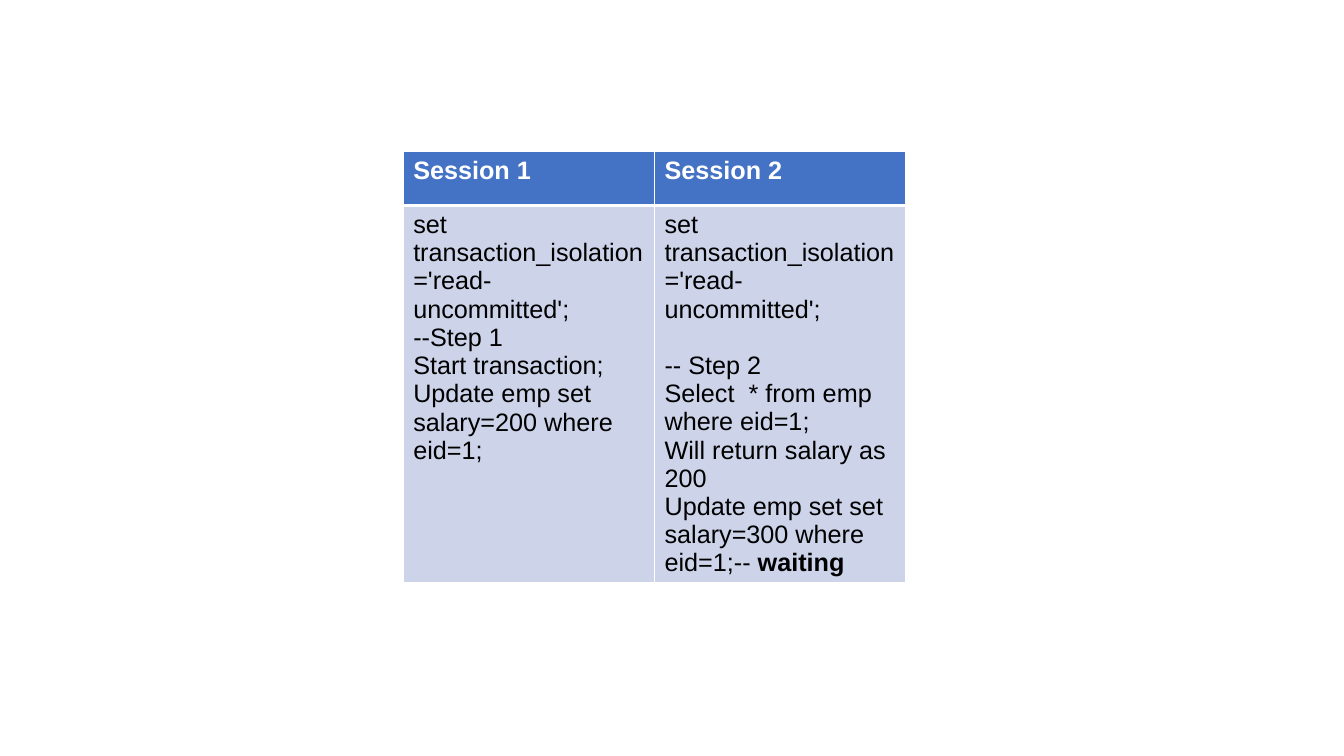
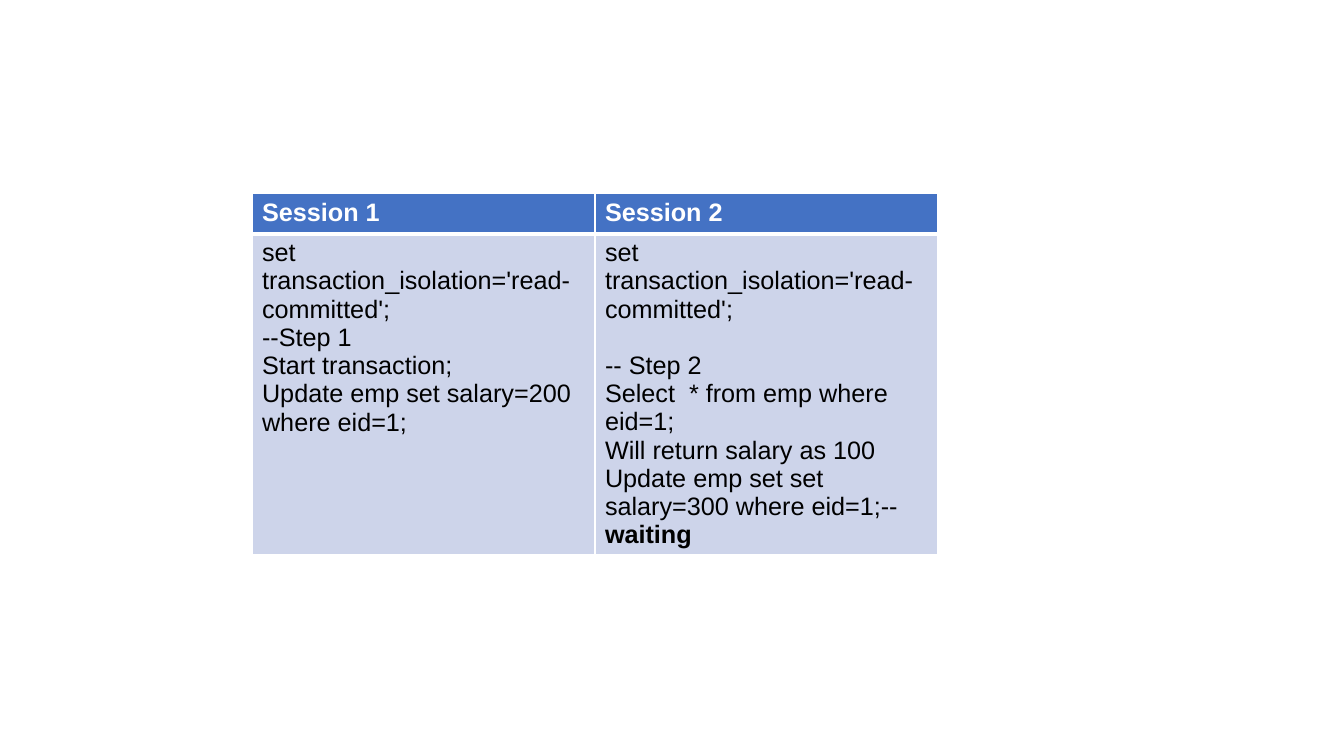
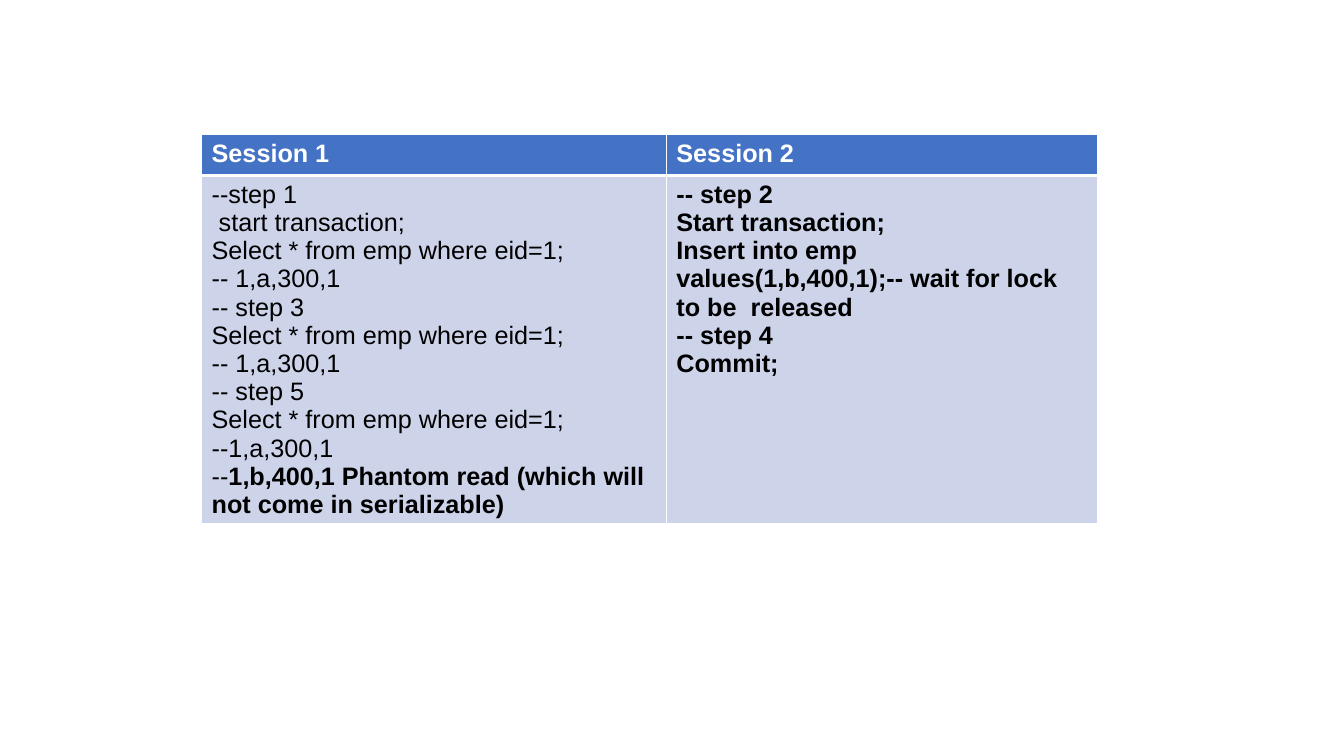
import pptx
import pptx.dml.color
import pptx.util
import pptx.oxml.ns
import lxml.etree
from dataclasses import dataclass


@dataclass(frozen=True)
class Theme:
    font: str = "Arial"
    size: int = 18
    gap: int = 20       # one line of space, in points
    head: str = "4472C4"
    body: str = "CDD4EA"
    light: str = "FFFFFF"
    dark: str = "000000"
    thin: int = 1
    thick: int = 3


THEME = Theme()
WIDE, HIGH = pptx.util.Inches(13.33), pptx.util.Inches(7.5)
HEADS = ["Session 1", "Session 2"]
BOLD = "**"     # switches bold on and off
GAP = "^"       # opens a line that has space above it


def rgb(code):
    return pptx.dml.color.RGBColor.from_string(code)


def across(pct):
    return round(WIDE * pct / 100)


def down(pct):
    return round(HIGH * pct / 100)


def edge(cell, sides):
    """Draw the cell's borders; sides maps tag to points."""
    name = pptx.oxml.ns.qn
    props = cell._tc.get_or_add_tcPr()
    for tag, width in sides.items():
        line = lxml.etree.SubElement(
            props, name("a:" + tag), w=str(pptx.util.Pt(width)))
        fill = lxml.etree.SubElement(line, name("a:solidFill"))
        lxml.etree.SubElement(fill, name("a:srgbClr"), val=THEME.light)


def write(cell, lines, color, bold=False):
    """Write one paragraph for each line."""
    frame = cell.text_frame
    for i, line in enumerate(lines):
        para = frame.paragraphs[0] if i == 0 else frame.add_paragraph()
        if line.startswith(GAP):
            para.space_before = pptx.util.Pt(THEME.gap)
            line = line[len(GAP):]
        font = para.font
        font.name, font.size = THEME.font, pptx.util.Pt(THEME.size)
        font.color.rgb, font.bold = rgb(color), bold
        for j, part in enumerate(line.split(BOLD)):
            if part:
                run = para.add_run()
                run.text = part
                if j % 2:
                    run.font.bold = True


def paint(cell, fill, top, base):
    edge(cell, {"lnL": THEME.thin, "lnR": THEME.thin,
                "lnT": top, "lnB": base})
    cell.fill.solid()
    cell.fill.fore_color.rgb = rgb(fill)


def compare(deck, left, top, cols, rows, texts):
    """Add a slide with two sessions side by side; lengths in percent."""
    slide = deck.slides.add_slide(deck.slide_layouts[6])
    table = slide.shapes.add_table(
        2, 2, across(left), down(top),
        across(sum(cols)), down(sum(rows))).table
    table.horz_banding = False
    for col, width in zip(table.columns, cols):
        col.width = across(width)
    for row, height in zip(table.rows, rows):
        row.height = down(height)
    for i, (head, lines) in enumerate(zip(HEADS, texts)):
        # Header row
        cell = table.cell(0, i)
        paint(cell, THEME.head, THEME.thin, THEME.thick)
        write(cell, [head], THEME.light, True)
        # Statements
        cell = table.cell(1, i)
        paint(cell, THEME.body, THEME.thick, THEME.thin)
        write(cell, lines, THEME.dark)


def dirty(level, salary):
    """Statements of both sessions at one isolation level."""
    begin = f"set  transaction_isolation='{level}';"
    return [
        [begin, "--Step 1", "Start transaction;",
         "Update emp set salary=200 where eid=1;"],
        [begin, GAP + "-- Step 2", "Select  * from emp where eid=1;",
         f"Will return salary as {salary}",
         "Update emp set set salary=300 where eid=1;--** waiting**"],
    ]


def phantom():
    """Statements of both sessions for a phantom read."""
    query = "Select * from emp where eid=1;"
    insert = ["-- step 2", "Start transaction;",
              "Insert into emp values(1,b,400,1);"
              "-- wait for lock to be  released",
              "-- step 4", "Commit;"]
    return [
        ["--step 1", " start transaction;", query, "-- 1,a,300,1",
         "-- step 3", query, "-- 1,a,300,1",
         "-- step 5", query, "--1,a,300,1",
         "--**1,b,400,1 Phantom read "
         "(which will not come in serializable)**"],
        [BOLD + line + BOLD for line in insert],
    ]


def main():
    deck = pptx.Presentation()
    deck.slide_width, deck.slide_height = WIDE, HIGH
    compare(deck, 30, 20, (18.7, 18.7), (7.2, 49.3),
            dirty("read-uncommitted", 200))
    compare(deck, 18.75, 25.6, (25.52, 25.52), (5.33, 41.3),
            dirty("read-committed", 100))
    compare(deck, 15, 17.8, (34.58, 32.1), (5.4, 46),
            phantom())
    deck.save("out.pptx")


if __name__ == "__main__":
    main()
